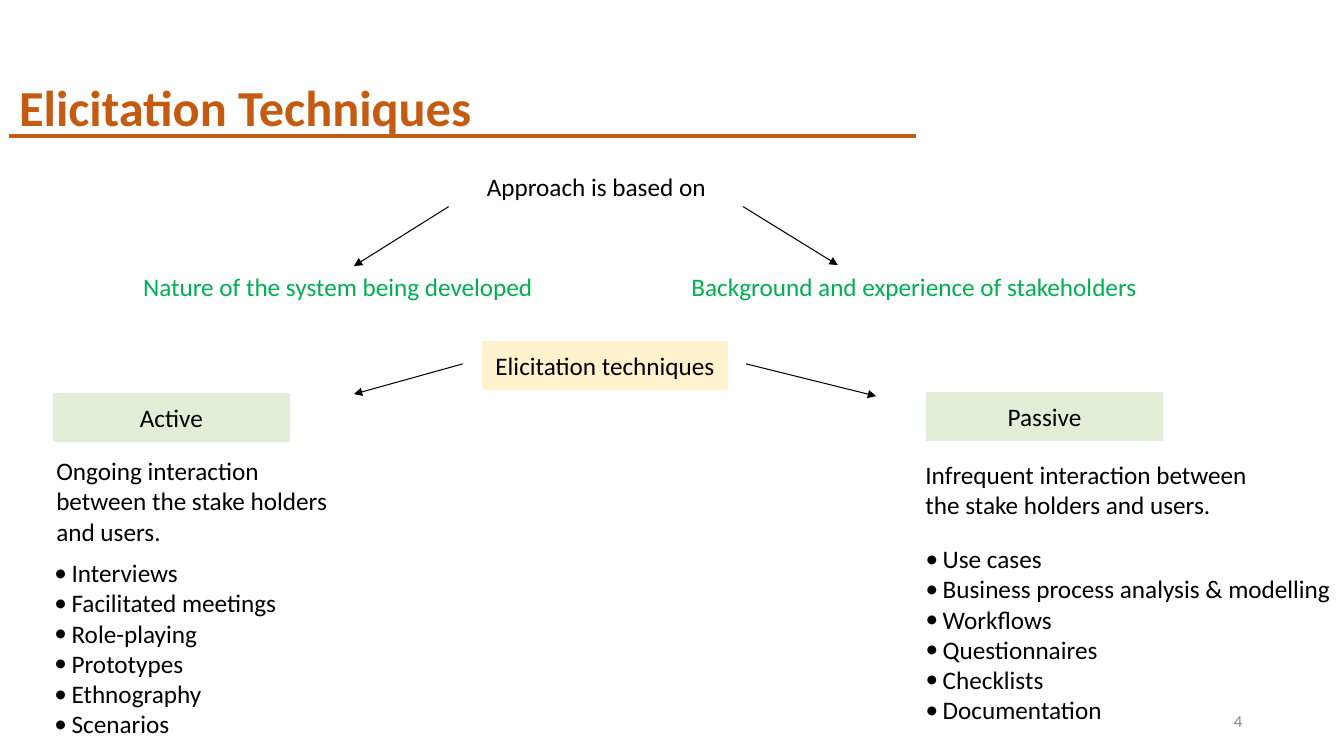
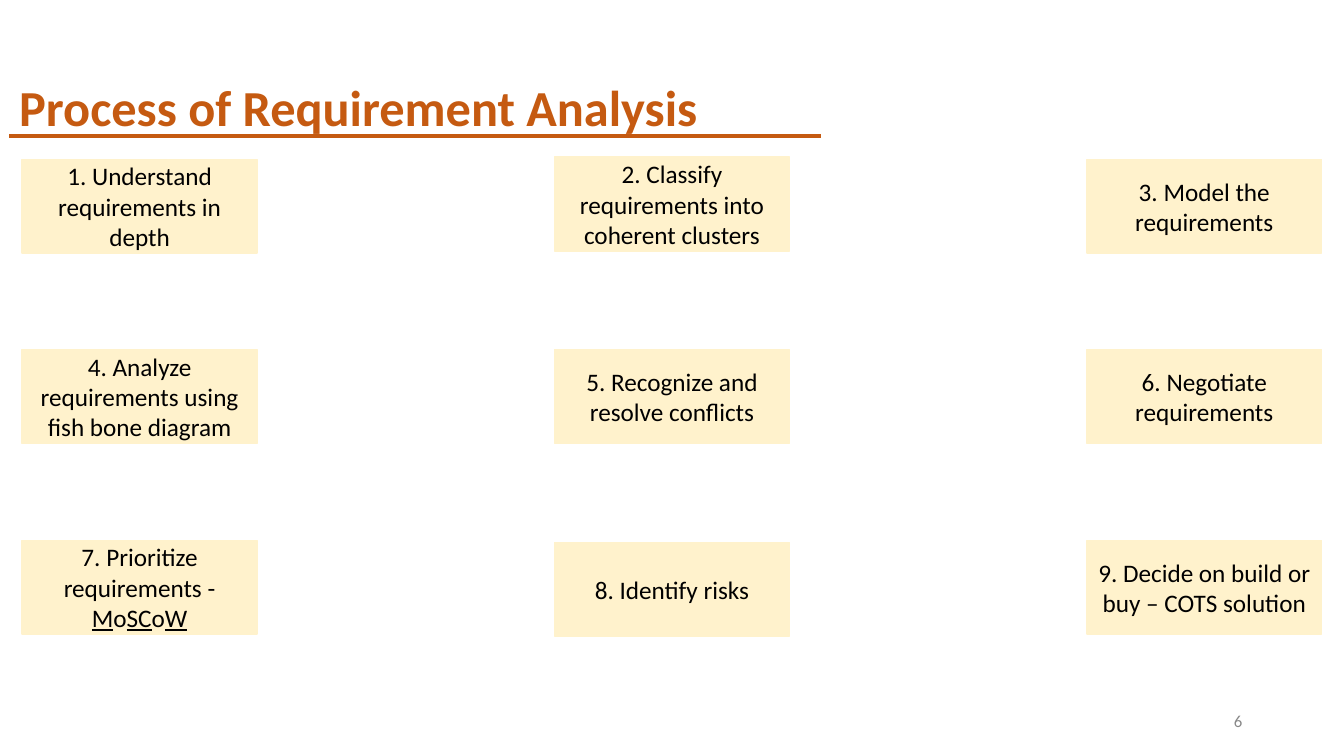
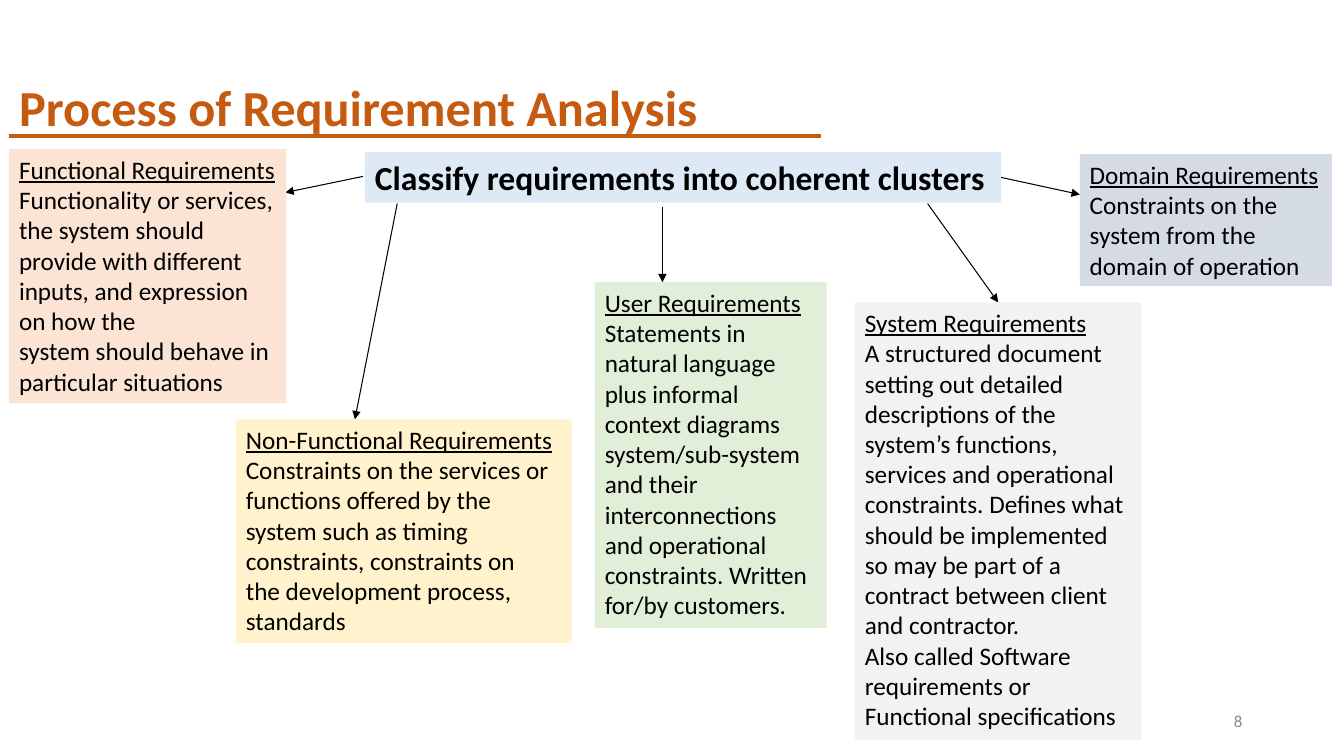
from dataclasses import dataclass
from typing import NamedTuple

from pptx import Presentation
from pptx.dml.color import RGBColor
from pptx.enum.shapes import MSO_CONNECTOR, MSO_SHAPE
from pptx.enum.text import MSO_ANCHOR, MSO_AUTO_SIZE, PP_ALIGN
from pptx.oxml.ns import qn
from pptx.slide import Slide
from pptx.text.text import TextFrame
from pptx.util import Inches, Pt
from lxml.etree import SubElement

TITLE_ONLY_LAYOUT = 5
TWO_CONTENT_LAYOUT = 3


@dataclass(frozen=True)
class Theme:
    font: str = "Calibri"
    accent: str = "C55A11"
    text: str = "000000"
    muted: str = "888888"
    highlight: str = "00B050"
    yellow: str = "FFF2CC"
    green: str = "E1EFD8"
    blue: str = "DDEAF6"
    peach: str = "FBE4D4"
    gray: str = "F2F2F2"
    slate: str = "D5DBE5"
    title_size: int = 36
    heading_size: int = 24
    body_size: int = 18
    footer_size: int = 12


THEME = Theme()


class Box(NamedTuple):
    left: float
    top: float
    width: float
    height: float

    def lengths(self) -> list[int]:
        return [Inches(value) for value in self]


class Span(NamedTuple):
    text: str
    underline: bool = False


class Arrow(NamedTuple):
    start: tuple[float, float]
    end: tuple[float, float]


@dataclass(frozen=True)
class TextStyle:
    size: int = THEME.body_size
    color: str = THEME.text
    bold: bool = False
    align: PP_ALIGN = PP_ALIGN.LEFT
    anchor: MSO_ANCHOR = MSO_ANCHOR.TOP


BODY = TextStyle()
LABEL = TextStyle(align=PP_ALIGN.CENTER, anchor=MSO_ANCHOR.MIDDLE)
HIGHLIGHT = TextStyle(color=THEME.highlight)
HEADING = TextStyle(THEME.heading_size, bold=True)
TITLE = TextStyle(THEME.title_size, THEME.accent, bold=True)
PAGE_NUMBER = TextStyle(THEME.footer_size, THEME.muted,
                        align=PP_ALIGN.RIGHT, anchor=MSO_ANCHOR.MIDDLE)


@dataclass(frozen=True)
class Label:
    box: Box
    text: str
    style: TextStyle = BODY


@dataclass(frozen=True)
class Cluster:
    box: Box
    fill: str
    heading: str
    statements: tuple[str, ...]


def write_text(frame: TextFrame, paragraphs: list[list[Span]], style: TextStyle) -> None:
    frame.word_wrap = True
    frame.auto_size = MSO_AUTO_SIZE.NONE
    frame.vertical_anchor = style.anchor
    frame.margin_left = frame.margin_right = Inches(0.1)
    frame.margin_top = frame.margin_bottom = Inches(0.05)
    for index, spans in enumerate(paragraphs):
        paragraph = frame.add_paragraph() if index else frame.paragraphs[0]
        paragraph.alignment = style.align
        paragraph.space_before = Pt(0)
        for span in spans:
            run = paragraph.add_run()
            run.text = span.text
            run.font.name = THEME.font
            run.font.size = Pt(style.size)
            run.font.bold = style.bold
            run.font.underline = span.underline
            run.font.color.rgb = RGBColor.from_string(style.color)


def add_label(slide: Slide, label: Label) -> None:
    shape = slide.shapes.add_textbox(*label.box.lengths())
    write_text(shape.text_frame, [[Span(label.text)]], label.style)


def add_card(slide: Slide, box: Box, fill: str, paragraphs: list[list[Span]],
             style: TextStyle = LABEL, outlined: bool = True) -> None:
    shape = slide.shapes.add_shape(MSO_SHAPE.RECTANGLE, *box.lengths())
    shape.shadow.inherit = False
    shape.fill.solid()
    shape.fill.fore_color.rgb = RGBColor.from_string(fill)
    if outlined:
        shape.line.color.rgb = RGBColor.from_string(fill)
        shape.line.width = Pt(1)
    else:
        shape.line.fill.background()
    write_text(shape.text_frame, paragraphs, style)


def add_line(slide: Slide, line: Arrow, color: str = THEME.text,
             width: float = 0.75, arrowhead: bool = True) -> None:
    ends = [Inches(value) for value in (*line.start, *line.end)]
    connector = slide.shapes.add_connector(MSO_CONNECTOR.STRAIGHT, *ends)
    connector.line.color.rgb = RGBColor.from_string(color)
    connector.line.width = Pt(width)
    if arrowhead:
        SubElement(connector.line._get_or_add_ln(), qn("a:tailEnd"), type="triangle")
    SubElement(connector._element.spPr, qn("a:effectLst"))


def place(shape, box: Box) -> None:
    shape.left, shape.top, shape.width, shape.height = box.lengths()


def fill_list(slide: Slide, placeholder_index: int, box: Box, items: list[str]) -> None:
    placeholder = slide.placeholders[placeholder_index]
    place(placeholder, box)
    frame = placeholder.text_frame
    write_text(frame, [[Span(item)] for item in items], BODY)
    frame.margin_right = 0
    indent = Inches(0.17)
    for paragraph in frame.paragraphs:
        properties = paragraph._p.get_or_add_pPr()
        properties.set("marL", str(indent))
        properties.set("indent", str(-indent))
        SubElement(properties, qn("a:buFont"), typeface=THEME.font)
        SubElement(properties, qn("a:buChar"), char="•")


def add_slide(presentation, layout: int, title: str, title_width: float,
              rule_end: float, number: int) -> Slide:
    """Add a slide with the shared title, rule and page number."""
    slide = presentation.slides.add_slide(presentation.slide_layouts[layout])
    place(slide.shapes.title, Box(0.09, 0.71, title_width, 0.5))
    write_text(slide.shapes.title.text_frame, [[Span(title)]], TITLE)
    rule = Arrow((0.09, 1.35), (rule_end, 1.35))
    add_line(slide, rule, THEME.accent, 3, arrowhead=False)
    add_label(slide, Label(Box(9.42, 6.95, 3, 0.4), str(number), PAGE_NUMBER))
    return slide


def add_analysis_slide(presentation, number: int) -> Slide:
    return add_slide(presentation, TITLE_ONLY_LAYOUT,
                     "Process of Requirement Analysis", 7.51, 8.14, number)


def build_techniques(presentation) -> None:
    slide = add_slide(presentation, TWO_CONTENT_LAYOUT, "Elicitation Techniques", 9, 9.09, 4)
    for label in (
        Label(Box(4.73, 1.65, 2.48, 0.4), "Approach is based on"),
        Label(Box(1.32, 2.64, 4.11, 0.4), "Nature of the system being developed", HIGHLIGHT),
        Label(Box(6.76, 2.64, 4.67, 0.4), "Background and experience of stakeholders", HIGHLIGHT),
        Label(Box(0.46, 4.47, 2.95, 1.01),
              "Ongoing interaction between the stake holders and users."),
        Label(Box(9.08, 4.51, 3.75, 0.71),
              "Infrequent interaction between the stake holders and users."),
    ):
        add_label(slide, label)
    for box, fill, text in (
        (Box(4.79, 3.39, 2.42, 0.47), THEME.yellow, "Elicitation techniques"),
        (Box(0.53, 3.91, 2.34, 0.47), THEME.green, "Active"),
        (Box(9.19, 3.9, 2.34, 0.47), THEME.green, "Passive"),
    ):
        add_card(slide, box, fill, [[Span(text)]])
    fill_list(slide, 1, Box(0.44, 5.48, 2.64, 1.92), [
        "Interviews", "Facilitated meetings", "Role-playing",
        "Prototypes", "Ethnography", "Scenarios",
    ])
    fill_list(slide, 2, Box(9.08, 5.34, 4.25, 1.92), [
        "Use cases", "Business process analysis & modelling", "Workflows",
        "Questionnaires", "Checklists", "Documentation",
    ])
    for arrow in (
        Arrow((4.45, 2.05), (3.51, 2.64)),
        Arrow((7.37, 2.05), (8.31, 2.63)),
        Arrow((4.59, 3.61), (3.51, 3.91)),
        Arrow((7.4, 3.61), (8.69, 3.93)),
    ):
        add_line(slide, arrow)


def build_process(presentation) -> None:
    slide = add_analysis_slide(presentation, 6)
    steps = [
        [Span("1. Understand requirements in depth")],
        [Span("2. Classify requirements into coherent clusters")],
        [Span("3. Model the requirements")],
        [Span("4. Analyze requirements using fish bone diagram")],
        [Span("5. Recognize and resolve conflicts")],
        [Span("6. Negotiate requirements")],
        [Span("7. Prioritize requirements - "), Span("M", True), Span("o"),
         Span("SC", True), Span("o"), Span("W", True)],
        [Span("8. Identify risks")],
        [Span("9. Decide on build or buy – COTS solution")],
    ]
    row_pitches = (1.89, 1.91, 1.89)
    for index, spans in enumerate(steps):
        row, column = divmod(index, 3)
        top = 3.47 + (row - 1) * row_pitches[column]
        add_card(slide, Box(0.22 + column * 5.28, top, 2.33, 0.93), THEME.yellow, [spans])


def build_clusters(presentation) -> None:
    slide = add_analysis_slide(presentation, 8)
    add_card(slide, Box(3.62, 1.51, 6.31, 0.5), THEME.blue,
             [[Span("Classify requirements into coherent clusters")]], HEADING, outlined=False)
    for arrow in (
        Arrow((3.6, 1.75), (2.83, 1.91)),
        Arrow((3.94, 2.02), (3.52, 4.16)),
        Arrow((6.57, 2.05), (6.57, 2.8)),
        Arrow((9.2, 2.02), (9.9, 3)),
        Arrow((9.93, 1.76), (10.71, 1.93)),
    ):
        add_line(slide, arrow)
    for cluster in (
        Cluster(Box(0.09, 1.48, 2.75, 2.52), THEME.peach, "Functional Requirements", (
            "Functionality or services, the system should provide with different inputs, "
            "and expression on how the",
            "system should behave in particular situations",
        )),
        Cluster(Box(2.34, 4.16, 3.33, 2.22), THEME.yellow, "Non-Functional Requirements", (
            "Constraints on the services or functions offered by the system such as timing "
            "constraints, constraints on",
            "the development process, standards",
        )),
        Cluster(Box(5.9, 2.8, 2.3, 3.43), THEME.green, "User Requirements", (
            "Statements in natural language plus informal context diagrams",
            "system/sub-system and their interconnections and operational constraints. "
            "Written for/by customers.",
        )),
        Cluster(Box(8.48, 3, 2.84, 4.34), THEME.gray, "System Requirements", (
            "A structured document setting out detailed descriptions of the",
            "system’s functions, services and operational constraints. Defines what should "
            "be implemented so may be part of a",
            "contract between client and contractor.",
            "Also called Software requirements or Functional specifications",
        )),
        Cluster(Box(10.71, 1.53, 2.5, 1.31), THEME.slate, "Domain Requirements", (
            "Constraints on the system from the domain of operation",
        )),
    ):
        paragraphs = [[Span(cluster.heading, True)]]
        paragraphs += [[Span(statement)] for statement in cluster.statements]
        add_card(slide, cluster.box, cluster.fill, paragraphs, BODY, outlined=False)


def main() -> None:
    presentation = Presentation()
    presentation.slide_width = Inches(13.33)
    presentation.slide_height = Inches(7.5)
    build_techniques(presentation)
    build_process(presentation)
    build_clusters(presentation)
    presentation.save("out.pptx")


if __name__ == "__main__":
    main()
